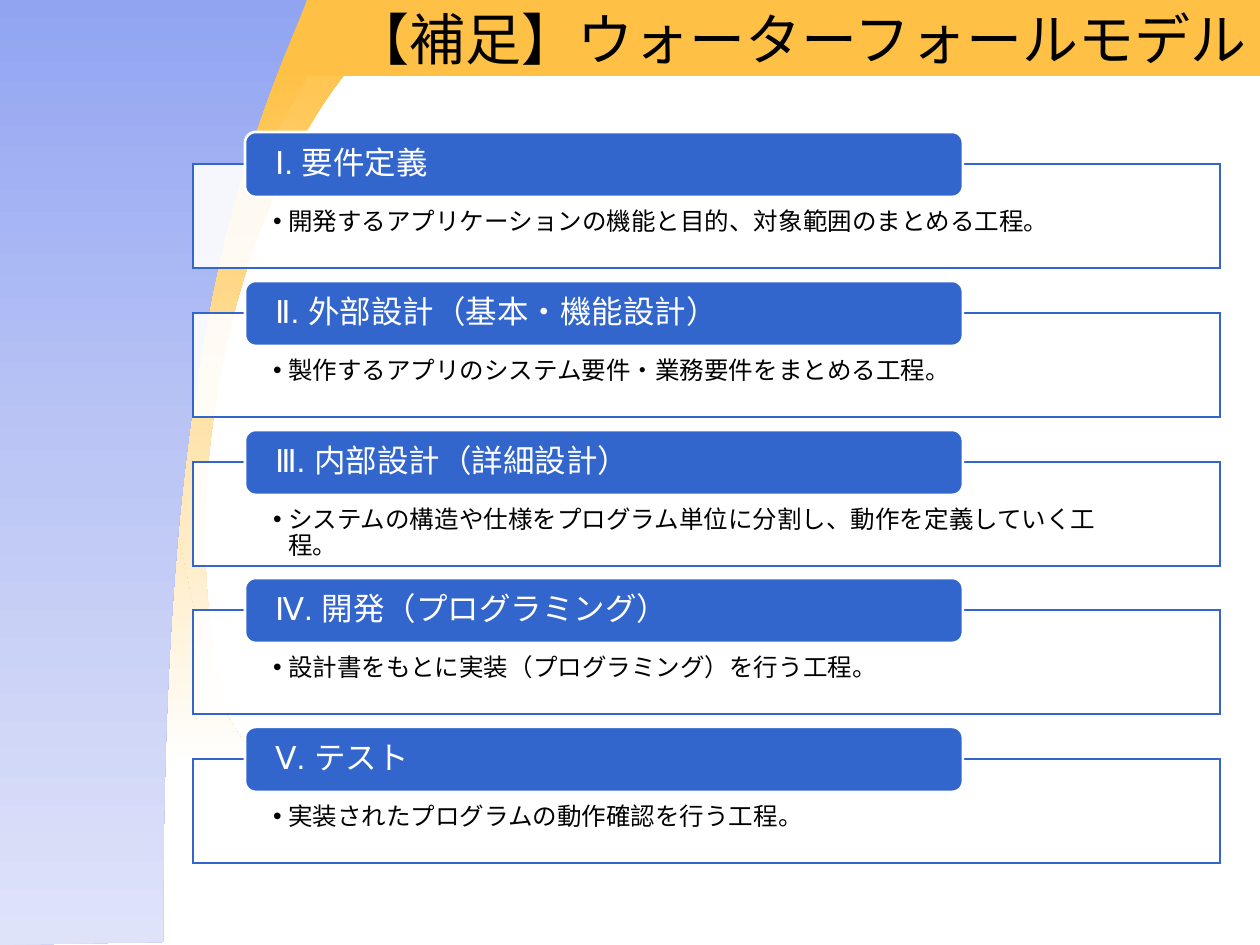
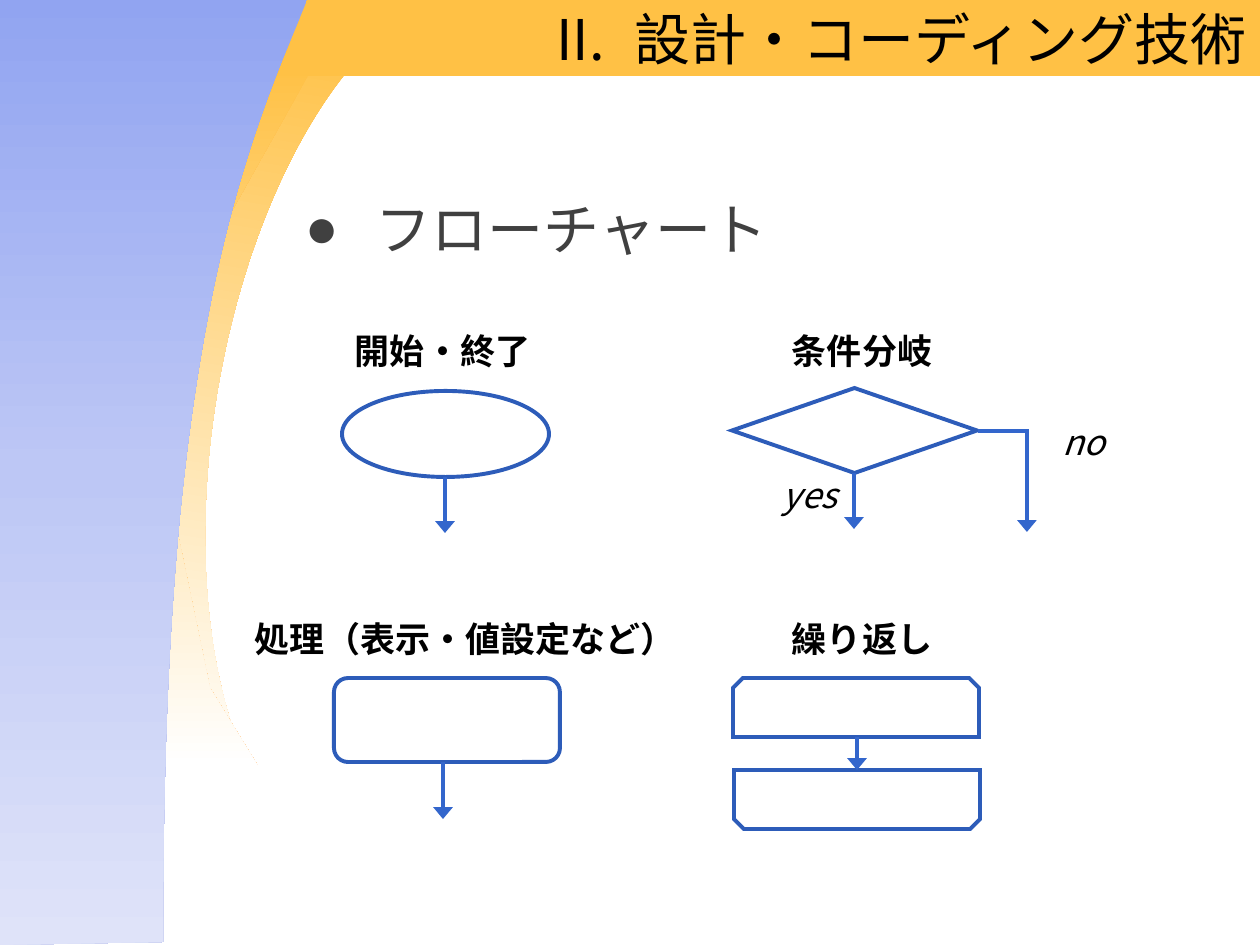
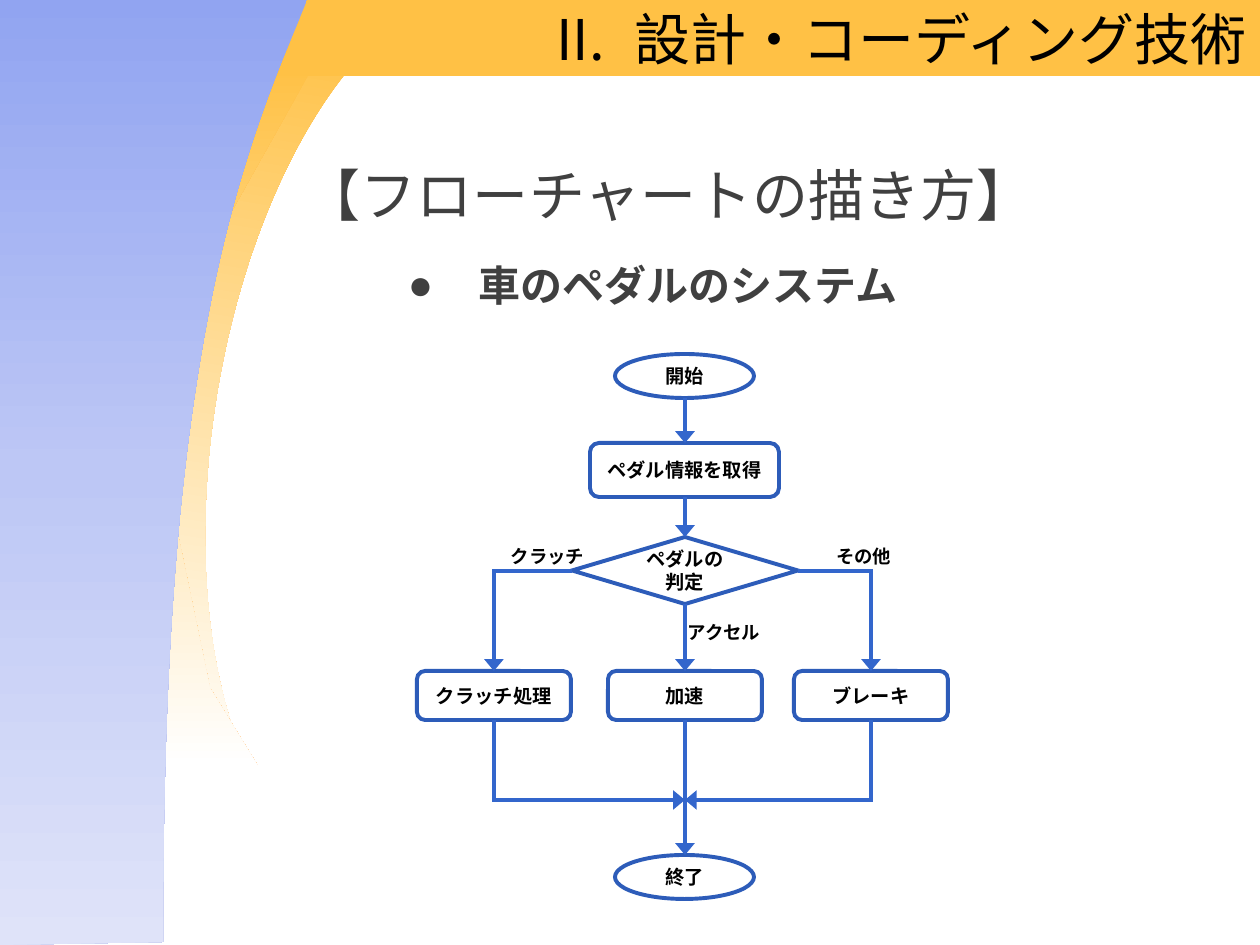
from pptx import Presentation
from pptx.dml.color import RGBColor
from pptx.enum.shapes import MSO_CONNECTOR as CONN, MSO_SHAPE as SHP
from pptx.enum.text import MSO_ANCHOR as ANC, MSO_AUTO_SIZE as FIT, PP_ALIGN as AL
from pptx.oxml import parse_xml
from pptx.oxml.ns import nsdecls, qn
from pptx.util import Pt
from lxml.etree import SubElement

EMU_PER_PX = 914400 / 126
NOTO, ARIAL = "Noto Sans CJK JP", "Arial"
C = {
    "white": "FFFFFF", "black": "000000", "body": "404040",
    "gold": "FFC145", "blue": "3366CC", "outline": "2D5CB9",
    "sky": "91A4F1", "mist": "BDC7F5", "haze": "DFE3F9",
}
GOLD_FADE = [(0, "gold"), (100, "white")]
BLUE_FADE = [(0, "sky"), (50, "mist"), (100, "haze")]


def px(n):
    return round(n * EMU_PER_PX)


def rgb(name):
    return RGBColor.from_string(C[name])


def bezier(p0, p1, p2, p3, steps=24):
    pts = []
    for i in range(1, steps + 1):
        t = i / steps
        u = 1 - t
        pts.append(tuple(u**3 * a + 3 * u * u * t * b + 3 * u * t * t * c + t**3 * d
                         for a, b, c, d in zip(p0, p1, p2, p3)))
    return pts


class Deck:
    def __init__(self):
        self.prs = Presentation()
        self.prs.slide_width, self.prs.slide_height = px(1260), px(945)
        self.shapes = None

    def slide(self, title, bullet=None):
        self.shapes = self.prs.slides.add_slide(self.prs.slide_layouts[6]).shapes
        self.backdrop()
        tf = self.box((292, 0, 968, 76), anchor=ANC.MIDDLE)
        self.para(tf, title, 32, align=AL.RIGHT, bullet=bullet,
                  indent=(78, -78) if bullet else None)

    def backdrop(self):
        moon = self.shape(SHP.MOON, (130, 37, 174, 714), GOLD_FADE)
        moon.rotation = 9.3
        self.outline([(258, 766), (0, 766), (0, 63), (315, 63), (192, 282),
                      (171, 501), (210, 688)], GOLD_FADE)
        self.shape(SHP.RECTANGLE, (0, -1, 1260, 77), "gold")
        top, mid, foot = (307, 0), (212, 296), (163, 942)
        curve = [top, *bezier(top, (291, 42), (244, 137), mid),
                 *bezier(mid, (180, 455), (163, 643), foot)]
        self.outline([*curve, (0, 945), (0, -4)], BLUE_FADE)

    def paint(self, s, fill, line=None, width=2.25, alpha=100):
        s.shadow.inherit = False
        if isinstance(fill, list):
            stops = "".join(f'<a:gs pos="{pos * 1000}"><a:srgbClr val="{C[c]}"/></a:gs>'
                            for pos, c in fill)
            s._element.spPr.insert(2, parse_xml(
                f'<a:gradFill {nsdecls("a")} rotWithShape="1"><a:gsLst>{stops}</a:gsLst>'
                '<a:lin ang="5400000" scaled="0"/></a:gradFill>'))
        else:
            s.fill.solid()
            s.fill.fore_color.rgb = rgb(fill)
            if alpha < 100:
                clr = s._element.spPr.find(qn("a:solidFill"))[0]
                SubElement(clr, qn("a:alpha")).set("val", str(alpha * 1000))
        if line:
            s.line.color.rgb = rgb(line)
            s.line.width = Pt(width)
            ln = s._element.spPr.find(qn("a:ln"))
            SubElement(ln, qn("a:miter")).set("lim", "800000")
        else:
            s.line.fill.background()
        return s

    def shape(self, kind, at, fill="white", line=None, **kw):
        return self.paint(self.shapes.add_shape(kind, *map(px, at)), fill, line, **kw)

    def outline(self, pts, fill):
        fb = self.shapes.build_freeform(*map(px, pts[0]))
        fb.add_line_segments([tuple(map(px, pt)) for pt in pts[1:]], close=True)
        return self.paint(fb.convert_to_shape(), fill)

    def node(self, kind, at, text=None):
        s = self.shape(kind, at, line="outline")
        if text:
            tf = self.frame(s, anchor=ANC.MIDDLE)
            self.para(tf, text, 11, bold=True, align=AL.CENTER)
        return s

    def frame(self, s, ins=(13, 6, 13, 6), anchor=ANC.TOP):
        tf = s.text_frame
        tf.word_wrap = True
        tf.vertical_anchor = anchor
        tf.margin_left, tf.margin_top, tf.margin_right, tf.margin_bottom = map(px, ins)
        return tf

    def box(self, at, **kw):
        return self.frame(self.shapes.add_textbox(*map(px, at)), **kw)

    def para(self, tf, text, size, color="black", font=NOTO, bold=False, italic=False,
             align=AL.LEFT, bullet=None, indent=None, spacing=None, before=None):
        p = tf.paragraphs[0]
        if p.runs:
            p = tf.add_paragraph()
        p.alignment = align
        if spacing:
            p.line_spacing = spacing
        if before:
            p.space_before = Pt(before)
        pPr = p._p.get_or_add_pPr()
        if indent:
            pPr.set("marL", str(px(indent[0])))
            pPr.set("indent", str(px(indent[1])))
        if isinstance(bullet, int):
            SubElement(pPr, qn("a:buFont")).set("typeface", font)
            bu = SubElement(pPr, qn("a:buAutoNum"))
            bu.set("type", "romanUcPeriod")
            bu.set("startAt", str(bullet))
        elif bullet:
            SubElement(pPr, qn("a:buFont")).set("typeface", ARIAL)
            SubElement(pPr, qn("a:buChar")).set("char", bullet)
        r = p.add_run()
        r.text = text
        r.font.size, r.font.bold, r.font.italic = Pt(size), bold, italic
        r.font.name = font
        r.font.color.rgb = rgb(color)
        SubElement(r._r.get_or_add_rPr(), qn("a:ea")).set("typeface", font)

    def label(self, at, text, size, ins=(13, 6, 0, 6), **kw):
        tf = self.box(at, ins=ins)
        tf.auto_size = FIT.SHAPE_TO_FIT_TEXT
        self.para(tf, text, size, **kw)

    def arrow(self, x1, y1, x2, y2, bent=False, end="tailEnd"):
        s = self.shapes.add_connector(CONN.ELBOW if bent else CONN.STRAIGHT,
                                      px(x1), px(y1), px(x2), px(y2))
        s.line.color.rgb = rgb("blue")
        s.line.width = Pt(2.25)
        spPr = s._element.spPr
        if bent:
            spPr.find(qn("a:prstGeom")).set("prst", "bentConnector2")
        ln = spPr.find(qn("a:ln"))
        SubElement(ln, qn("a:miter")).set("lim", "800000")
        tip = SubElement(ln, qn(f"a:{end}"))
        tip.set("type", "triangle")
        tip.set("w", "lg")
        SubElement(spPr, qn("a:effectLst"))


def waterfall(d):
    d.slide("【補足】ウォーターフォールモデル")
    phases = [
        ("Ⅰ. 要件定義", "開発するアプリケーションの機能と目的、対象範囲のまとめる工程。"),
        ("Ⅱ. 外部設計（基本・機能設計）", "製作するアプリのシステム要件・業務要件をまとめる工程。"),
        ("Ⅲ. 内部設計（詳細設計）",
         "システムの構造や仕様をプログラム単位に分割し、動作を定義していく工程。"),
        ("Ⅳ. 開発（プログラミング）", "設計書をもとに実装（プログラミング）を行う工程。"),
        ("Ⅴ. テスト", "実装されたプログラムの動作確認を行う工程。"),
    ]
    for i, (name, detail) in enumerate(phases):
        top = 164 + round(i * 148.75)
        s = d.shape(SHP.RECTANGLE, (193, top, 1027, 104), line="blue", width=1, alpha=90)
        tf = d.frame(s, ins=(80, 45, 100, 14))
        d.para(tf, detail, 14, font=ARIAL, bullet="•", indent=(15, -15), spacing=0.9)
        s = d.shape(SHP.ROUNDED_RECTANGLE, (245, top - 32, 718, 65), "blue", "white", width=1.5)
        tf = d.frame(s, ins=(27, 0, 27, 0), anchor=ANC.MIDDLE)
        d.para(tf, name, 18, "white", ARIAL, spacing=0.9)


def symbols(d):
    d.slide("設計・コーディング技術", bullet=2)
    tf = d.box((292, 155, 932, 790))
    d.para(tf, "フローチャート", 32, "body", bullet="●", indent=(71, -71), spacing=1.5)
    for x, y, w, text in [(342, 323, 202, "開始・終了"), (779, 323, 166, "条件分岐"),
                          (242, 611, 450, "処理（表示・値設定など）"),
                          (779, 611, 166, "繰り返し")]:
        d.label((x, y, w, 55), text, 20, bold=True)
    d.node(SHP.FLOWCHART_DECISION, (732, 388, 245, 85))
    d.node(SHP.FLOWCHART_CONNECTOR, (342, 391, 207, 86))
    d.node(SHP.FLOWCHART_ALTERNATE_PROCESS, (334, 678, 226, 84))
    d.node(SHP.SNIP_2_SAME_RECTANGLE, (733, 678, 246, 59))
    d.node(SHP.SNIP_2_SAME_RECTANGLE, (734, 770, 246, 59)).rotation = 180
    for x, y1, y2 in [(445, 477, 533), (854, 473, 529), (857, 737, 770), (443, 762, 819)]:
        d.arrow(x, y1, x, y2)
    d.arrow(978, 431, 1027, 532, bent=True)
    for x, y, text in [(1037, 399, "no"), (758, 452, "yes")]:
        d.label((x, y, 118, 92), text, 20, ins=(25,) * 4, italic=True)


def pedals(d):
    d.slide("設計・コーディング技術", bullet=2)
    tf = d.box((292, 155, 932, 179))
    d.para(tf, "【フローチャートの描き方】", 32, "body", before=12)
    d.para(tf, "車のペダルのシステム", 24, "body", bold=True, bullet="●",
           indent=(174, -71), before=18)
    mid, left, right = 685, 494, 871
    for y, text in [(354, "開始"), (855, "終了")]:
        d.node(SHP.FLOWCHART_CONNECTOR, (mid - 70, y, 139, 44), text)
    d.node(SHP.FLOWCHART_DECISION, (572, 537, 226, 67), "ペダルの判定")
    d.node(SHP.FLOWCHART_ALTERNATE_PROCESS, (590, 443, 189, 54), "ペダル情報を取得")
    for x, text in [(left, "クラッチ処理"), (mid, "加速"), (right, "ブレーキ")]:
        d.node(SHP.FLOWCHART_ALTERNATE_PROCESS, (x - 77, 671, 154, 49), text)
    for y1, y2 in [(398, 443), (497, 537), (604, 671), (720, 855)]:
        d.arrow(mid, y1, mid, y2)
    for x, tip in [(left, 572), (right, 798)]:
        d.arrow(tip, 571, x, 671, bent=True)
        d.arrow(mid, 800, x, 720, bent=True, end="headEnd")
    for x, y, w, text in [(498, 539, 100, "クラッチ"), (675, 615, 122, "アクセル"),
                          (823, 539, 118, "その他")]:
        d.label((x, y, w, 35), text, 10.5, bold=True)


def main():
    d = Deck()
    waterfall(d)
    symbols(d)
    pedals(d)
    d.prs.save("out.pptx")


if __name__ == "__main__":
    main()
